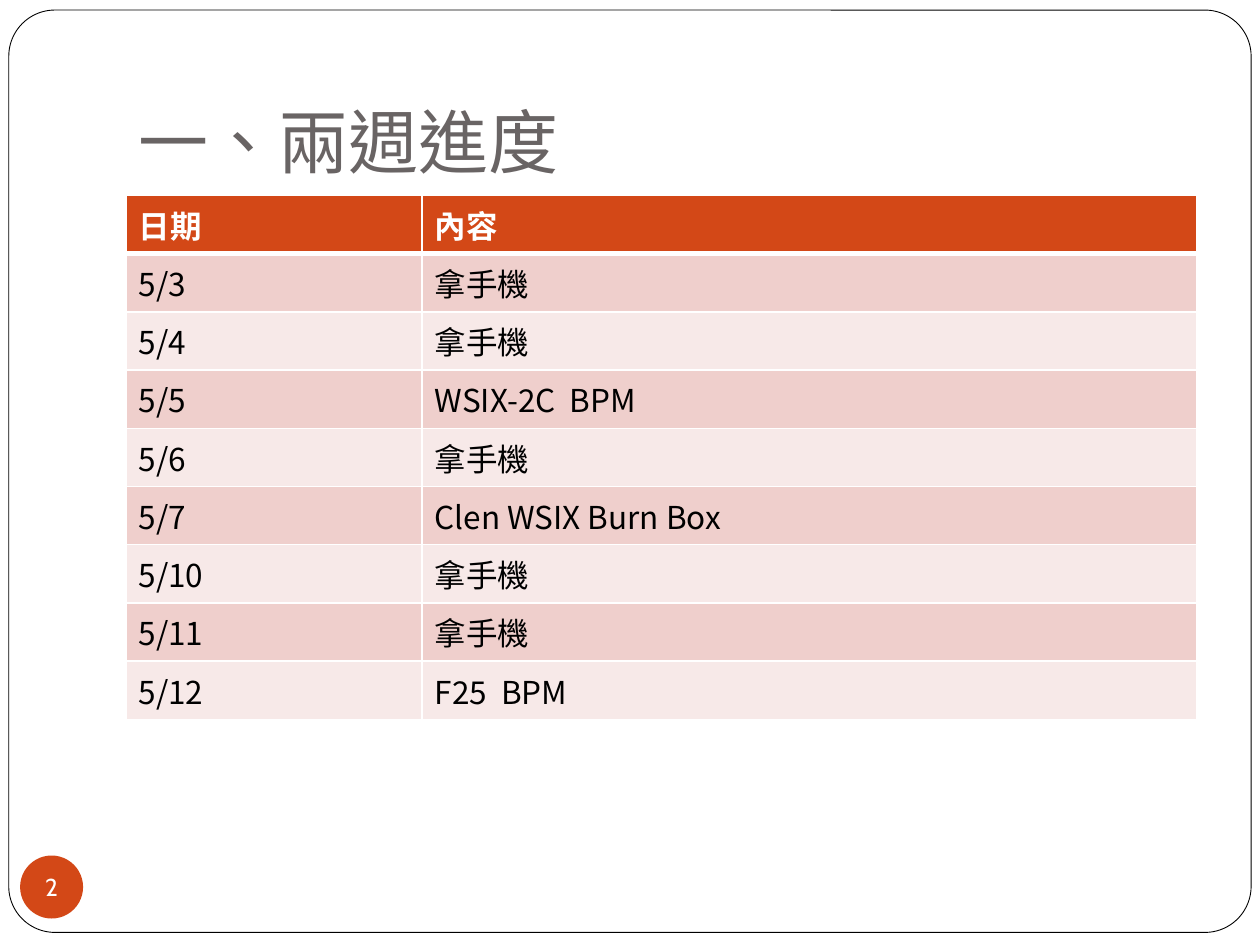
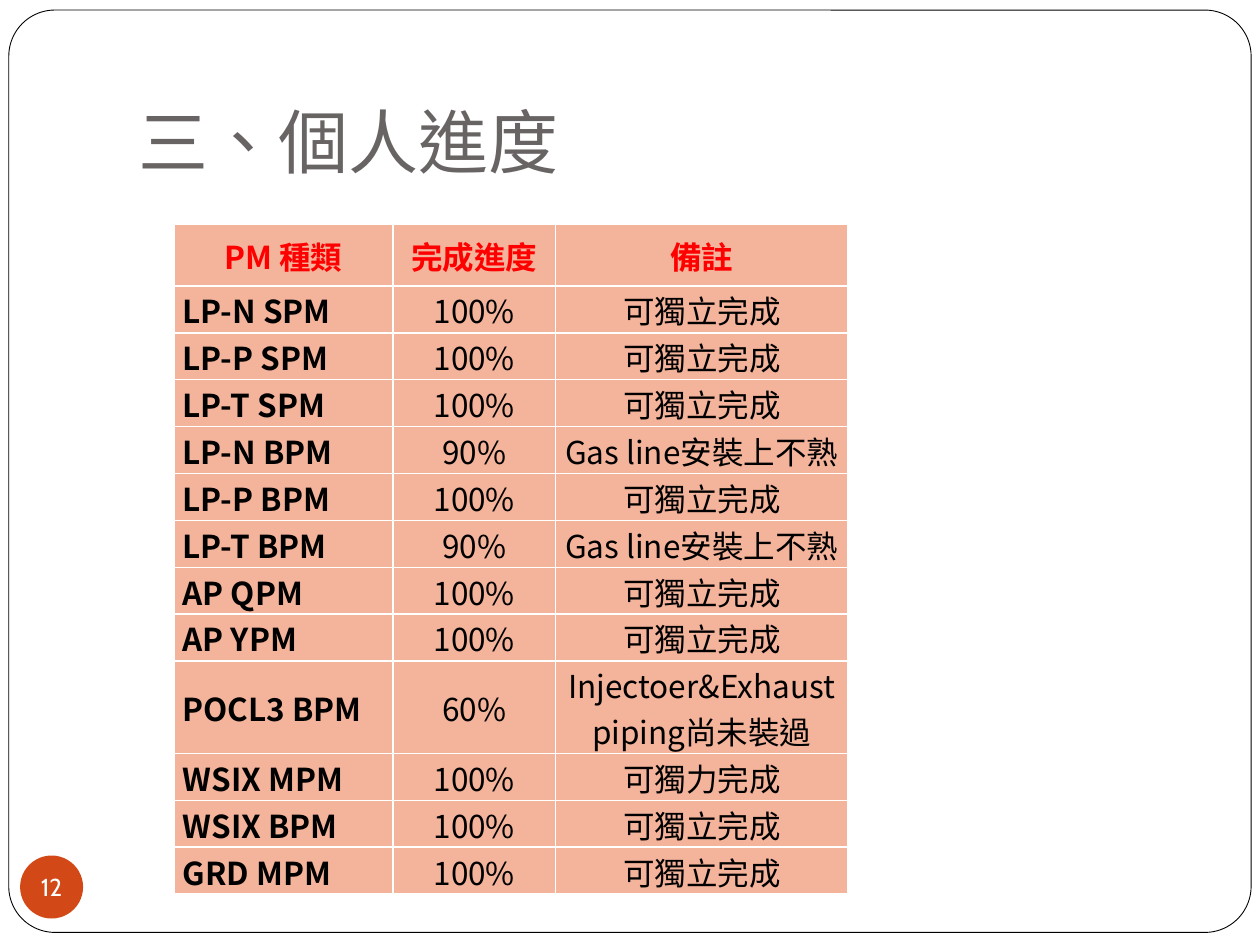
from dataclasses import dataclass

from lxml import etree
from pptx import Presentation
from pptx.dml.color import RGBColor
from pptx.enum.lang import MSO_LANGUAGE_ID
from pptx.enum.shapes import MSO_SHAPE
from pptx.enum.text import MSO_ANCHOR, MSO_AUTO_SIZE, PP_ALIGN
from pptx.oxml.ns import qn
from pptx.util import Inches, Pt

LEFT, CENTER = PP_ALIGN.LEFT, PP_ALIGN.CENTER
TOP, MIDDLE, BOTTOM = MSO_ANCHOR.TOP, MSO_ANCHOR.MIDDLE, MSO_ANCHOR.BOTTOM
ROUND, OVAL = MSO_SHAPE.ROUNDED_RECTANGLE, MSO_SHAPE.OVAL
FIXED = MSO_AUTO_SIZE.NONE
CHINESE = MSO_LANGUAGE_ID.TRADITIONAL_CHINESE
TITLE_ONLY = 5


@dataclass(frozen=True)
class Theme:
    white: str = "FFFFFF"
    black: str = "000000"
    gray: str = "696464"
    red: str = "FF0000"
    accent: str = "D34817"
    bands: tuple = ("F7E9E8", "EFCFCC")
    peach: str = "F4B39B"
    head: str = "Cabin"
    body: str = "Noto Sans CJK SC"
    title: int = 40
    text: int = 18
    number: int = 14


THEME = Theme()
FRAME = (0.07, 0.08, 9.86, 7.32)
TITLE = (1, 0.3, 8.5, 1.25)
BADGE = (0.16, 6.79, 0.5, 0.5)

# Slide content
DONE = "可獨立完成"
GAS = "Gas line安裝上不熟"
PHONE = "拿手機"
DIARY = [
    ("日期", "內容"),
    ("5/3", PHONE),
    ("5/4", PHONE),
    ("5/5", "WSIX-2C  BPM"),
    ("5/6", PHONE),
    ("5/7", "Clen WSIX Burn Box"),
    ("5/10", PHONE),
    ("5/11", PHONE),
    ("5/12", "F25  BPM"),
]
SKILLS = [
    ("PM 種類", "完成進度", "備註"),
    ("LP-N SPM", "100%", DONE),
    ("LP-P SPM", "100%", DONE),
    ("LP-T SPM", "100%", DONE),
    ("LP-N BPM", "90%", GAS),
    ("LP-P BPM", "100%", DONE),
    ("LP-T BPM", "90%", GAS),
    ("AP QPM", "100%", DONE),
    ("AP YPM", "100%", DONE),
    ("POCL3 BPM", "60%", "Injectoer&Exhaust piping尚未裝過"),
    ("WSIX MPM", "100%", "可獨力完成"),
    ("WSIX BPM", "100%", DONE),
    ("GRD MPM", "100%", DONE),
]


def color(code):
    return RGBColor.from_string(code)


def inset(part, left, top, right, bottom):
    part.margin_left, part.margin_top = Inches(left), Inches(top)
    part.margin_right, part.margin_bottom = Inches(right), Inches(bottom)


def write(frame, text, size=THEME.text, face=THEME.body, ink=THEME.black,
          bold=False, align=LEFT):
    """Put one formatted paragraph into a text frame."""
    para = frame.paragraphs[0]
    para.alignment = align
    run = para.add_run()
    run.text = text
    font = run.font
    font.size, font.name, font.bold = Pt(size), face, bold
    font.color.rgb = color(ink)
    font.language_id = CHINESE
    asian = etree.Element(qn("a:ea"), typeface=THEME.body)
    font._element.find(qn("a:latin")).addnext(asian)


def shape(slide, kind, box, fill):
    item = slide.shapes.add_shape(kind, *map(Inches, box))
    item.shadow.inherit = False
    item.fill.solid()
    item.fill.fore_color.rgb = color(fill)
    item.line.fill.background()
    return item


def edge(cell, **widths):
    """Draw white cell borders; widths are in points by side."""
    props = cell._tc.get_or_add_tcPr()
    for side in "LRTB":
        width = Pt(widths.get(side, 1))
        line = etree.SubElement(props, qn("a:ln" + side), w=str(width))
        fill = etree.SubElement(line, qn("a:solidFill"))
        etree.SubElement(fill, qn("a:srgbClr"), val=THEME.white)


def page(deck, title, number):
    """Add a slide with its frame, title and number badge."""
    slide = deck.slides.add_slide(deck.slide_layouts[TITLE_ONLY])

    # Frame, behind everything
    frame = shape(slide, ROUND, FRAME, THEME.white)
    frame.adjustments[0] = 0.05
    frame.line.color.rgb = color(THEME.black)
    frame.line.width = Pt(0.5)
    slide.shapes._spTree.insert(2, frame._element)

    # Title
    head = slide.shapes.title
    head.left, head.top, head.width, head.height = map(Inches, TITLE)
    area = head.text_frame
    area.auto_size, area.word_wrap = FIXED, True
    area.vertical_anchor = BOTTOM
    inset(area, 0.1, 0.05, 0.1, 0.1)
    write(area, title, size=THEME.title, face=THEME.head, ink=THEME.gray)

    # Number badge
    area = shape(slide, OVAL, BADGE, THEME.accent).text_frame
    area.word_wrap, area.vertical_anchor = False, MIDDLE
    inset(area, 0, 0, 0, 0)
    write(area, str(number), size=THEME.number, face=THEME.head,
          ink=THEME.white, align=CENTER)
    return slide


def grid(slide, spot, cols, heights, rows, style):
    """Add a table; style(cell, row, col) formats a cell, returns text format."""
    box = (*spot, sum(cols), sum(heights))
    table = slide.shapes.add_table(
        len(rows), len(cols), *map(Inches, box)).table
    table.first_row = table.horz_banding = False
    for col, width in zip(table.columns, cols):
        col.width = Inches(width)
    for row, height in zip(table.rows, heights):
        row.height = Inches(height)
    for r, texts in enumerate(rows):
        for c, text in enumerate(texts):
            cell = table.cell(r, c)
            write(cell.text_frame, text, **style(cell, r, c))


def paint(cell, fill):
    cell.fill.solid()
    cell.fill.fore_color.rgb = color(fill)


def diary(cell, row, col):
    """Dark header with a thick rule under it, then banded rows."""
    thick = {0: {"B": 3}, 1: {"T": 3}}
    edge(cell, **thick.get(row, {}))
    cell.vertical_anchor = TOP
    if row == 0:
        paint(cell, THEME.accent)
        return {"ink": THEME.white, "bold": True}
    paint(cell, THEME.bands[row % 2])
    return {}


def skill(cell, row, col):
    """Tight peach cells, red header, bold names in the first column."""
    edge(cell)
    paint(cell, THEME.peach)
    cell.vertical_anchor = MIDDLE
    name = row > 0 and col == 0
    inset(cell, 0.07 if name else 0.01, 0.01, 0.01, 0)
    return {
        "ink": THEME.black if row else THEME.red,
        "bold": row == 0 or col == 0,
        "align": LEFT if name else CENTER,
    }


def main():
    deck = Presentation()
    deck.slide_width, deck.slide_height = Inches(10), Inches(7.5)

    slide = page(deck, "一、兩週進度", 2)
    grid(slide, (1, 1.55), (2.35, 6.15), [0.42] * len(DIARY), DIARY, diary)

    slide = page(deck, "三、個人進度", 12)
    tall = [0.49] + [0.34] * (len(SKILLS) - 1)
    grid(slide, (1.38, 1.78), (1.74, 1.29, 2.32), tall, SKILLS, skill)

    deck.save("out.pptx")


if __name__ == "__main__":
    main()
